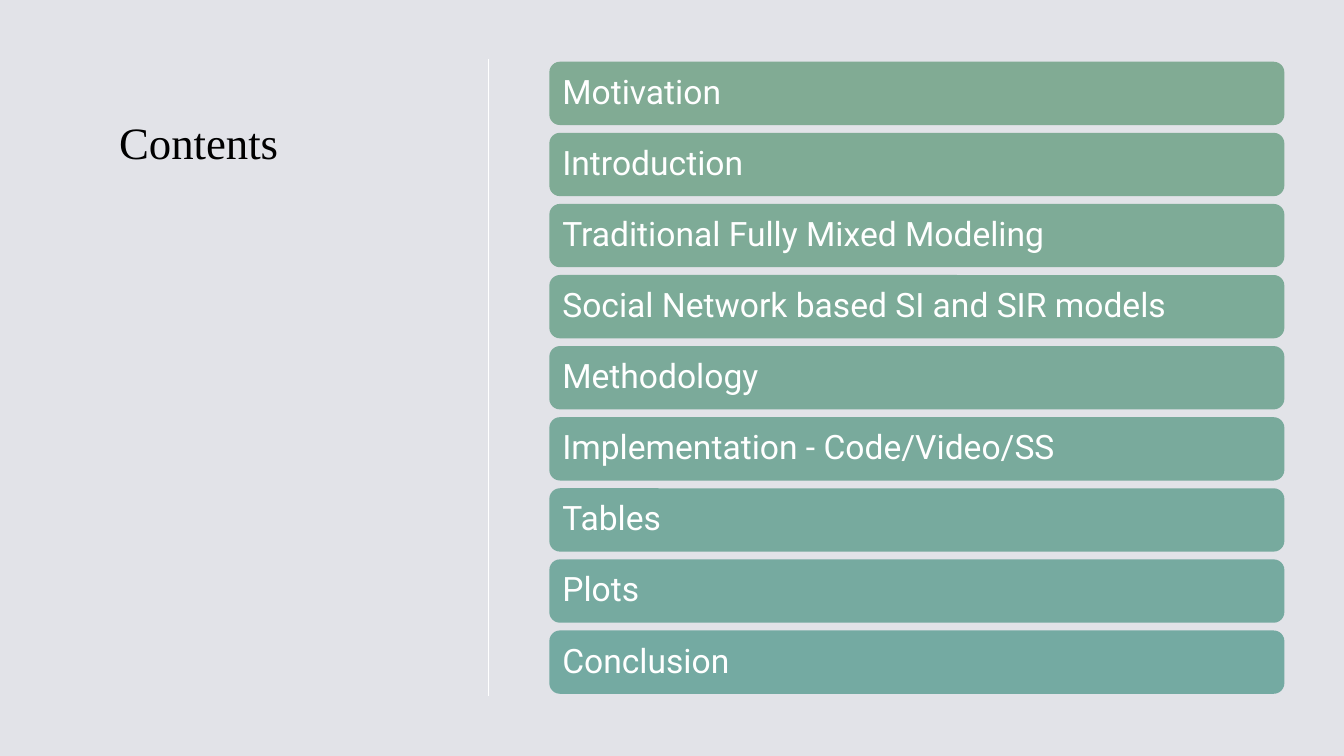
from pptx import Presentation, util as u
from pptx.dml.color import RGBColor
from pptx.enum import shapes, text
from pptx.oxml.ns import qn
from lxml import etree

BACKGROUND = RGBColor(0xE2, 0xE3, 0xE8)
BLACK = RGBColor(0x00, 0x00, 0x00)
WHITE = RGBColor(0xFF, 0xFF, 0xFF)

# Agenda entries, each with its step of the green-to-teal ramp
ENTRIES = [
    ("Motivation", RGBColor(0x81, 0xAB, 0x94)),
    ("Introduction", RGBColor(0x7F, 0xAB, 0x95)),
    ("Traditional Fully Mixed Modeling", RGBColor(0x7E, 0xAB, 0x97)),
    ("Social Network based SI and SIR models", RGBColor(0x7C, 0xAB, 0x98)),
    ("Methodology", RGBColor(0x7B, 0xAA, 0x9A)),
    ("Implementation - Code/Video/SS", RGBColor(0x79, 0xAA, 0x9C)),
    ("Tables", RGBColor(0x77, 0xAA, 0x9E)),
    ("Plots", RGBColor(0x76, 0xAA, 0xA0)),
    ("Conclusion", RGBColor(0x74, 0xAA, 0xA2)),
]
BAR_LEFT, BAR_TOP, BAR_WIDTH, BAR_HEIGHT = 392.4, 44.1, 525, 45.2
BAR_PITCH = 50.78
INSET = u.Pt(7.2)


def set_text(shape, words, anchor, font_values):
    """Write one left-aligned paragraph with equal insets and a font."""
    frame = shape.text_frame
    frame_values = {
        "word_wrap": True, "auto_size": text.MSO_AUTO_SIZE.NONE,
        "vertical_anchor": anchor, "margin_left": INSET,
        "margin_right": INSET, "margin_top": INSET, "margin_bottom": INSET,
    }
    for name, value in frame_values.items():
        setattr(frame, name, value)
    paragraph = frame.paragraphs[0]
    paragraph.alignment = text.PP_ALIGN.LEFT
    run = paragraph.add_run()
    run.text = words
    color = font_values["color"]
    for name in ("name", "size"):
        setattr(run.font, name, font_values[name])
    run.font.color.rgb = color
    return paragraph


presentation = Presentation()
presentation.slide_width = u.Pt(960)
presentation.slide_height = u.Pt(540)
slide = presentation.slides.add_slide(presentation.slide_layouts[5])
slide.background.fill.solid()
slide.background.fill.fore_color.rgb = BACKGROUND

# Title
title = slide.shapes.title
title_box = {"left": 77.8, "top": 74.9, "width": 220.3, "height": 369.4}
for name, value in title_box.items():
    setattr(title, name, u.Pt(value))
set_text(title, "Contents", text.MSO_ANCHOR.TOP,
         {"name": "Times New Roman", "size": u.Pt(32), "color": BLACK})

# Divider
divider = slide.shapes.add_connector(
    shapes.MSO_CONNECTOR.STRAIGHT,
    u.Pt(349), u.Pt(42.5), u.Pt(349), u.Pt(497.5))
divider.line.color.rgb = WHITE
divider.line.width = u.Pt(1)
etree.SubElement(divider._element.spPr, qn("a:effectLst"))

# Agenda bars
for index, (label, color) in enumerate(ENTRIES):
    bar = slide.shapes.add_shape(
        shapes.MSO_SHAPE.ROUNDED_RECTANGLE,
        u.Pt(BAR_LEFT), u.Pt(BAR_TOP + index * BAR_PITCH),
        u.Pt(BAR_WIDTH), u.Pt(BAR_HEIGHT))
    bar.shadow.inherit = False
    bar.fill.solid()
    bar.fill.fore_color.rgb = color
    bar.line.fill.background()
    paragraph = set_text(bar, label, text.MSO_ANCHOR.MIDDLE,
                         {"name": "Roboto", "size": u.Pt(24), "color": WHITE})
    paragraph.line_spacing = 0.9

presentation.save("out.pptx")
